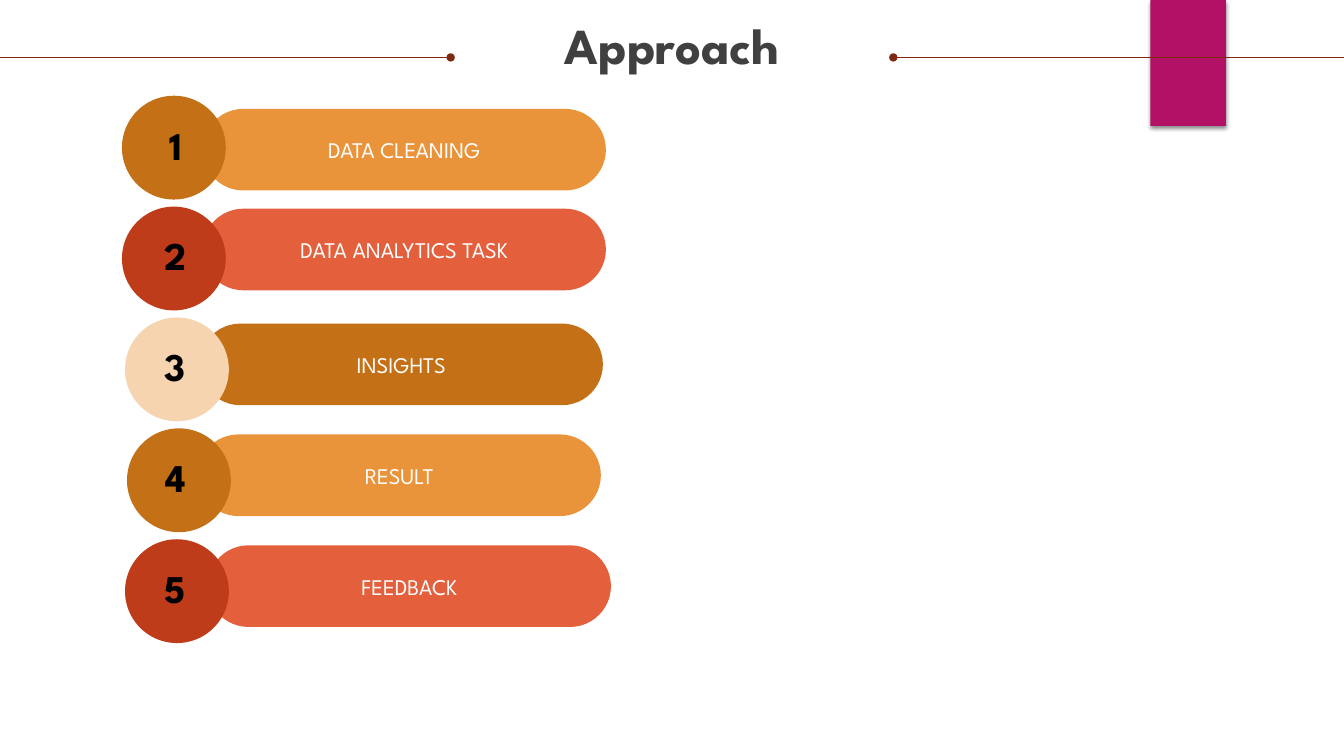
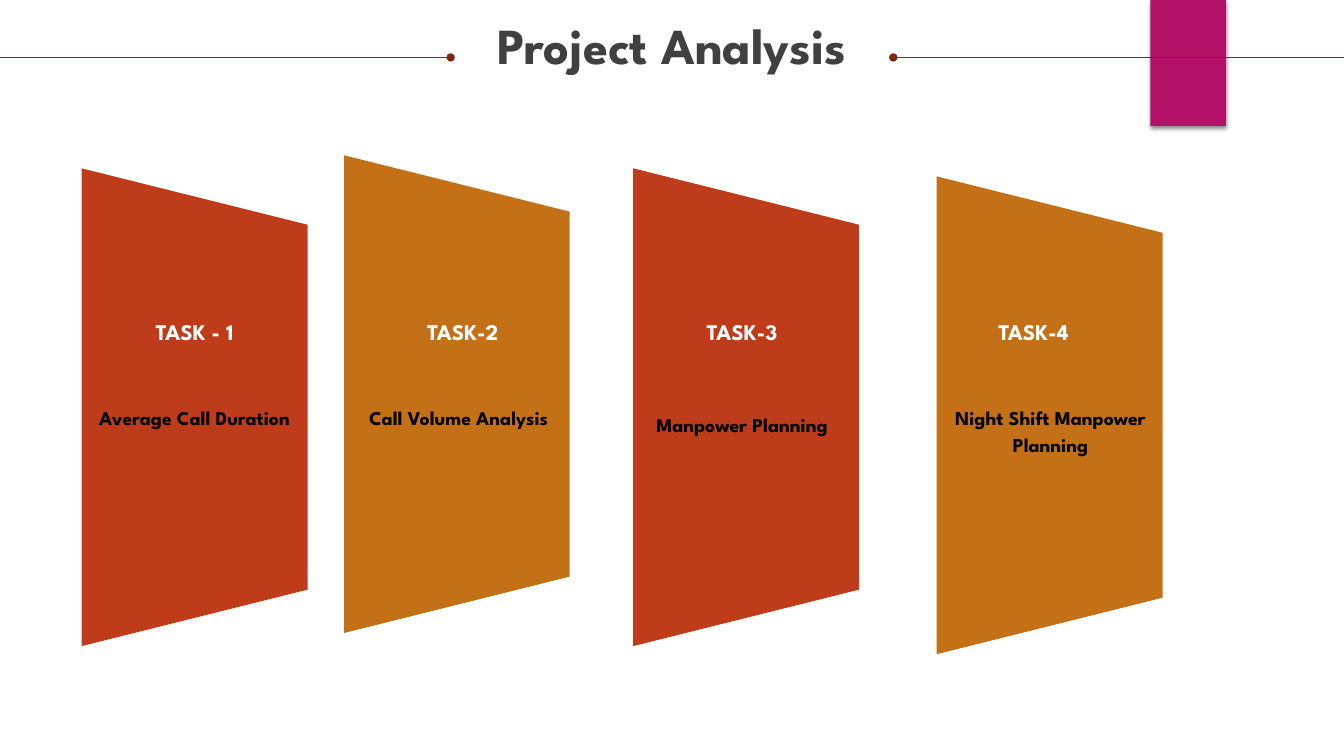
from lxml import etree
from pptx import Presentation
from pptx.dml.color import RGBColor
from pptx.enum.shapes import MSO_CONNECTOR, MSO_SHAPE
from pptx.enum.text import MSO_ANCHOR, PP_ALIGN
from pptx.oxml.ns import qn
from pptx.util import Inches, Pt

RECTANGLE, PILL = MSO_SHAPE.RECTANGLE, MSO_SHAPE.ROUNDED_RECTANGLE
CIRCLE, TRAPEZOID = MSO_SHAPE.OVAL, MSO_SHAPE.TRAPEZOID
STRAIGHT = MSO_CONNECTOR.STRAIGHT
CENTER = PP_ALIGN.CENTER
TOP, MIDDLE = MSO_ANCHOR.TOP, MSO_ANCHOR.MIDDLE

FONT = "League Spartan"
MAGENTA, MAROON, GRAY = "B31166", "7E2812", "404040"
ORANGE, CORAL, OCHRE = "E9943A", "E45F3C", "C47016"
RUST, PEACH = "BE3C1A", "F6D4B0"
WHITE, BLACK = "FFFFFF", "000000"

SLIDE_WIDTH, SLIDE_HEIGHT = 13.33, 7.5
TITLE_MARGIN = 0.25
RULE_Y, RULE_LENGTH = 0.57, 4.47
STEP_TOP, STEP_PITCH = 0.95, 1.1
PILL_SIZE, CIRCLE_SIZE = (4, 0.81), 1.03
PANEL_WIDTH, PANEL_HEIGHT = 2.24, 4.74
HEADING_TOP = 3.16

# label, pill left, pill top, pill colour, circle left, circle colour
STEPS = [
    ("DATA CLEANING", 2.01, 1.08, ORANGE, 1.21, OCHRE),
    ("DATA ANALYTICS TASK", 2.01, 2.07, CORAL, 1.21, RUST),
    ("INSIGHTS", 1.98, 3.21, OCHRE, 1.24, PEACH),
    ("RESULT", 1.96, 4.31, ORANGE, 1.26, OCHRE),
    ("FEEDBACK", 2.06, 5.41, CORAL, 1.24, RUST),
]

# heading, heading left, caption, caption left, caption top,
# panel left, panel top, panel colour
TASKS = [
    ("TASK - 1", 1.18, "Average Call Duration", 0.97, 4, 0.81, 1.67, RUST),
    ("TASK-2", 3.84, "Call Volume Analysis", 3.59, 4, 3.41, 1.54, OCHRE),
    ("TASK-3", 6.61, "Manpower Planning", 6.4, 4.07, 6.28, 1.67, RUST),
    ("TASK-4", 9.5, "Night Shift Manpower Planning", 9.46, 4, 9.29, 1.75, OCHRE),
]


def color(value):
    return RGBColor.from_string(value)


def write(shape, text, size, ink, bold=False, anchor=TOP, spacing=None):
    """Put one centred, wrapped paragraph into a shape or text box."""
    frame = shape.text_frame
    frame.text = text
    frame.word_wrap = True
    frame.vertical_anchor = anchor
    para = frame.paragraphs[0]
    para.alignment = CENTER
    para.line_spacing = spacing
    font = para.runs[0].font
    font.name, font.size, font.bold = FONT, Pt(size), bold
    font.color.rgb = color(ink)


def add_shape(slide, kind, left, top, width, height, fill):
    shape = slide.shapes.add_shape(
        kind, Inches(left), Inches(top), Inches(width), Inches(height))
    shape.shadow.inherit = False
    shape.fill.solid()
    shape.fill.fore_color.rgb = color(fill)
    shape.line.fill.background()
    return shape


def add_text(slide, left, top, width, height, text, size, ink, inset=0, spacing=None):
    """Add a bold, centred text box."""
    box = slide.shapes.add_textbox(
        Inches(left), Inches(top), Inches(width), Inches(height))
    frame = box.text_frame
    frame.margin_left = frame.margin_right = Inches(inset)
    frame.margin_top = frame.margin_bottom = Inches(inset / 2)
    write(box, text, size, ink, bold=True, spacing=spacing)


def add_rule(slide, start, end):
    """Draw a title rule from the slide edge to its dotted inner end."""
    rule = slide.shapes.add_connector(
        STRAIGHT, Inches(start), Inches(RULE_Y), Inches(end), Inches(RULE_Y))
    rule.line.width = Pt(0.75)
    rule.line.color.rgb = color(MAROON)
    etree.SubElement(rule.line._get_or_add_ln(), qn("a:tailEnd"), type="oval")
    etree.SubElement(rule._element.spPr, qn("a:effectLst"))


def add_banner(slide):
    """Hang the magenta ribbon, with its soft shadow, from the top edge."""
    banner = add_shape(slide, RECTANGLE, 11.41, 0, 0.75, 1.25, MAGENTA)
    effects = banner._element.spPr.find(qn("a:effectLst"))
    shadow = etree.SubElement(
        effects, qn("a:outerShdw"), blurRad=str(Pt(3)), dist=str(Pt(2)),
        dir="5400000", algn="ctr", rotWithShape="0")
    tint = etree.SubElement(shadow, qn("a:srgbClr"), val=BLACK)
    etree.SubElement(tint, qn("a:alpha"), val="45000")


def add_titled_slide(deck, title):
    slide = deck.slides.add_slide(deck.slide_layouts[6])
    add_banner(slide)
    add_rule(slide, 0, RULE_LENGTH)
    add_rule(slide, SLIDE_WIDTH, SLIDE_WIDTH - RULE_LENGTH)
    add_text(slide, TITLE_MARGIN, 0.21, SLIDE_WIDTH - 2 * TITLE_MARGIN, 0.97,
             title, 36, GRAY, spacing=0.9)
    return slide


def add_step(slide, index, label, pill_left, pill_top, pill_fill, circle_left, circle_fill):
    top = STEP_TOP + index * STEP_PITCH
    pill = add_shape(slide, PILL, pill_left, pill_top, *PILL_SIZE, pill_fill)
    pill.adjustments[0] = 0.5
    write(pill, label, 16, WHITE, anchor=MIDDLE)
    add_shape(slide, CIRCLE, circle_left, top, CIRCLE_SIZE, CIRCLE_SIZE, circle_fill)
    add_text(slide, 1.48, top + 0.2, 0.52, 0.57, str(index + 1), 28, BLACK, inset=0.1)


def add_panel(slide, left, top, fill):
    """Add a trapezoid turned on its side, placed by its visible corner."""
    shift = (PANEL_HEIGHT - PANEL_WIDTH) / 2
    panel = add_shape(slide, TRAPEZOID, left - shift, top + shift,
                      PANEL_HEIGHT, PANEL_WIDTH, fill)
    panel.rotation = 90


def add_task(slide, heading, heading_left, caption, caption_left, caption_top, *panel):
    add_panel(slide, *panel)
    add_text(slide, heading_left, HEADING_TOP, 1.5, 0.27, heading, 16, WHITE)
    add_text(slide, caption_left, caption_top, 1.92, 0.51, caption, 14, BLACK,
             spacing=Pt(19))


def main():
    deck = Presentation()
    deck.slide_width, deck.slide_height = Inches(SLIDE_WIDTH), Inches(SLIDE_HEIGHT)

    approach = add_titled_slide(deck, "Approach")
    for index, step in enumerate(STEPS):
        add_step(approach, index, *step)

    analysis = add_titled_slide(deck, "Project Analysis")
    for task in TASKS:
        add_task(analysis, *task)

    deck.save("out.pptx")


if __name__ == "__main__":
    main()
